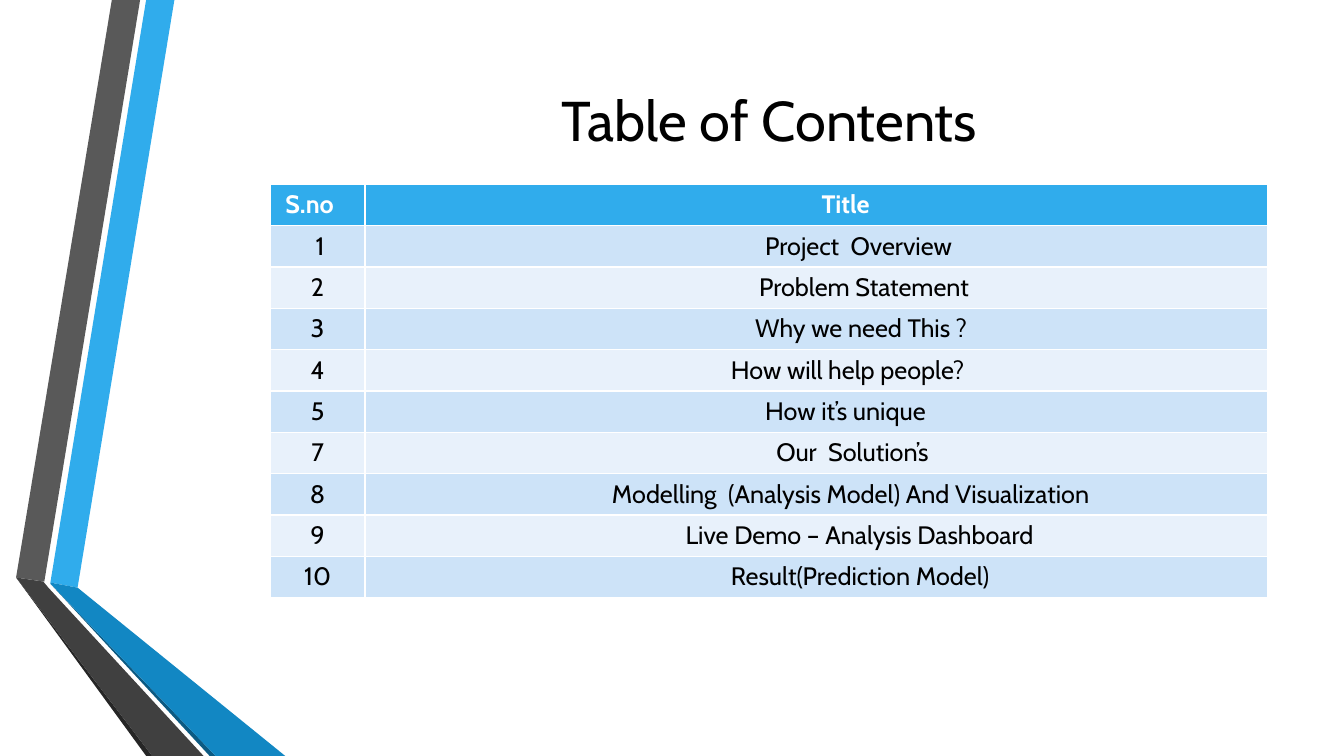
from pptx import Presentation
from pptx.dml.color import RGBColor
from pptx.enum.text import MSO_ANCHOR as Anchor, PP_ALIGN as Align
from pptx.util import Inches, Pt

FONT = "Cabin"
HEAD = "Table of Contents"
ROWS = [
    ("S.no", "Title", 4.53),
    ("1", "Project  Overview", 3.97),
    ("2", "Problem Statement", 3.91),
    ("3", "Why we need This ?", 3.87),
    ("4", "How will help people?", 3.63),
    ("5", "How it’s unique", 3.97),
    ("7", "Our  Solution’s", 4.08),
    ("8", "Modelling  (Analysis Model) And Visualization", 2.45),
    ("9", "Live Demo – Analysis Dashboard", 3.18),
    ("10", "Result(Prediction Model)", 3.63),
]
COLS = (0.94, 8.95)
ROW = 0.41
BLUE, WHITE, BLACK = "30ACEC", "FFFFFF", "000000"
BANDS = ("E8F1FB", "CDE3F8")
RIBBONS = [
    (BLUE, [(0.5, 5.78), (0.77, 5.83), (1.73, 0), (1.45, 0)]),
    ("595959", [(1.39, 0), (1.11, 0), (0.16, 5.73), (0.44, 5.77)]),
    ("262626", [(0.16, 5.73), (1.45, 7.5), (1.51, 7.5)]),
    ("0C5A82", [(0.5, 5.79), (2.08, 7.5), (2.14, 7.5)]),
    ("1287C3", [(0.5, 5.79), (2.14, 7.5), (2.83, 7.5), (0.77, 5.83), (0.5, 5.78)]),
    ("404040", [(2.02, 7.5), (0.48, 5.83), (0.43, 5.77), (0.16, 5.73), (1.51, 7.5)]),
]


def paint(fill, tone):
    fill.solid()
    fill.fore_color.rgb = RGBColor.from_string(tone)


def write(frame, text, size, tone, align, bold=False):
    para = frame.paragraphs[0]
    para.alignment = align
    run = para.add_run()
    run.text = text
    font = run.font
    font.name, font.size, font.bold = FONT, Pt(size), bold
    font.color.rgb = RGBColor.from_string(tone)


def draw(slide, tone, points):
    spots = [(Inches(x), Inches(y)) for x, y in points]
    path = slide.shapes.build_freeform(*spots[0])
    path.add_line_segments(spots[1:], close=True)
    shape = path.convert_to_shape()
    shape.shadow.inherit = False
    paint(shape.fill, tone)
    shape.line.fill.background()


def fill_cell(cell, text, tone, ink, align, left, bold):
    paint(cell.fill, tone)
    cell.margin_left = Inches(left)
    write(cell.text_frame, text, 18, ink, align, bold)


def main():
    deck = Presentation()
    deck.slide_width, deck.slide_height = Inches(13.33), Inches(7.5)
    slide = deck.slides.add_slide(deck.slide_layouts[5])

    for tone, points in RIBBONS:
        draw(slide, tone, points)

    title = slide.shapes.title
    title.left, title.top = Inches(2.15), Inches(0.75)
    title.width, title.height = Inches(10.96), Inches(0.86)
    title.text_frame.vertical_anchor = Anchor.MIDDLE
    write(title.text_frame, HEAD, 40, BLACK, Align.CENTER)

    table = slide.shapes.add_table(
        len(ROWS), len(COLS), Inches(2.68), Inches(1.83),
        Inches(sum(COLS)), Inches(ROW * len(ROWS))).table
    for col, width in zip(table.columns, COLS):
        col.width = Inches(width)
    for i, (num, name, left) in enumerate(ROWS):
        table.rows[i].height = Inches(ROW)
        top = i == 0
        tone = BLUE if top else BANDS[i % 2]
        ink = WHITE if top else BLACK
        side = Align.LEFT if top else Align.CENTER
        pad = 0.15 if i < 2 else 0.1
        fill_cell(table.cell(i, 0), num, tone, ink, side, pad, top)
        fill_cell(table.cell(i, 1), name, tone, ink, Align.LEFT, left, top)

    deck.save("out.pptx")


if __name__ == "__main__":
    main()
